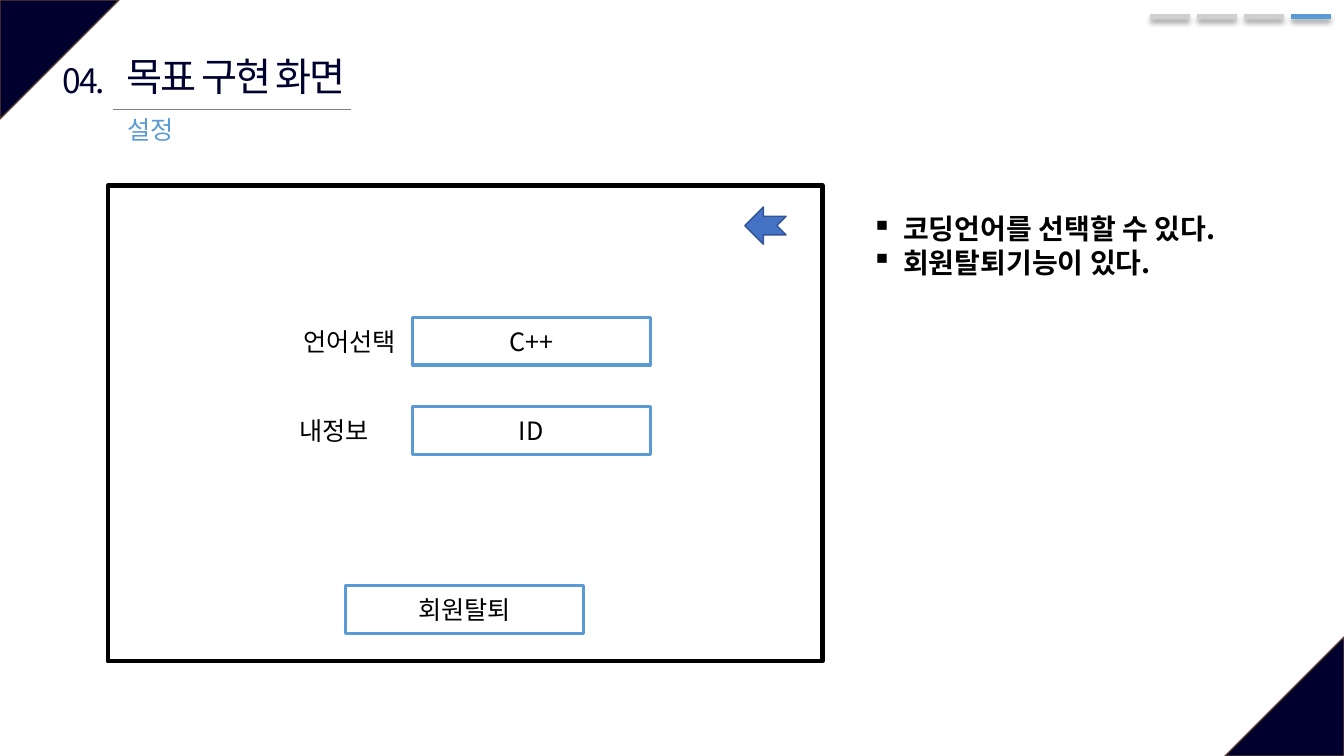
from dataclasses import dataclass

from lxml.etree import SubElement
from pptx import Presentation
from pptx.dml.color import RGBColor
from pptx.enum.shapes import MSO_CONNECTOR as Connector, MSO_SHAPE as Shape
from pptx.enum.text import MSO_ANCHOR as Anchor, MSO_AUTO_SIZE as AutoSize, PP_ALIGN as Align
from pptx.oxml.ns import qn
from pptx.util import Pt


@dataclass(frozen=True)
class Theme:
    font: str = "Noto Sans CJK KR"
    navy: str = "00002F"
    brown: str = "5B3F33"
    sky: str = "5B9BD5"
    blue: str = "4472C4"
    deep_blue: str = "325491"
    silver: str = "D0CECE"
    gray: str = "808080"
    white: str = "FFFFFF"
    black: str = "000000"
    title: int = 28
    number: int = 24
    point: int = 20
    body: int = 18


THEME = Theme()


def rgb(color):
    return RGBColor.from_string(color)


def add_text(paragraph, text, size, color, bold=False, spacing=0):
    run = paragraph.add_run()
    run.text = text
    run.font.name = THEME.font
    run.font.size = Pt(size)
    run.font.bold = bold
    run.font.color.rgb = rgb(color)
    properties = run.font._element
    SubElement(properties, qn("a:ea"), typeface=THEME.font)
    if spacing:
        properties.set("spc", str(int(spacing * 100)))


def add_label(slide, box, text, size, color, align=Align.LEFT, spacing=0, wrap=False):
    frame = slide.shapes.add_textbox(*map(Pt, box)).text_frame
    frame.word_wrap = wrap
    frame.auto_size = AutoSize.SHAPE_TO_FIT_TEXT
    frame.paragraphs[0].alignment = align
    add_text(frame.paragraphs[0], text, size, color, spacing=spacing)


def add_panel(slide, kind, box, fill, line, width, rotation=0):
    panel = slide.shapes.add_shape(kind, *map(Pt, box))
    panel.shadow.inherit = False
    panel.rotation = rotation
    panel.fill.solid()
    panel.fill.fore_color.rgb = rgb(fill)
    panel.line.color.rgb = rgb(line)
    panel.line.width = Pt(width)
    return panel


def add_corner(slide, left, top, rotation):
    corner = add_panel(slide, Shape.ISOSCELES_TRIANGLE, (left, top, 85, 85),
                       THEME.navy, THEME.brown, 1, rotation)
    corner.adjustments[0] = 0


def add_field(slide, left, top, text):
    field = add_panel(slide, Shape.RECTANGLE, (left, top, 170, 34),
                      THEME.white, THEME.sky, 2.25)
    field.text_frame.vertical_anchor = Anchor.MIDDLE
    field.text_frame.paragraphs[0].alignment = Align.CENTER
    add_text(field.text_frame.paragraphs[0], text, THEME.body, THEME.black)


def add_rule(slide, left, top, length, color, width):
    rule = slide.shapes.add_connector(
        Connector.STRAIGHT, Pt(left), Pt(top), Pt(left + length), Pt(top))
    rule.line.color.rgb = rgb(color)
    rule.line.width = Pt(width)
    return SubElement(rule._element.spPr, qn("a:effectLst"))


def add_progress(slide, steps, current):
    for step in range(steps):
        color = THEME.sky if step == current else THEME.silver
        effects = add_rule(slide, 821.5 + 33.6 * step, 11.5, 28.4, color, 3.5)
        shadow = SubElement(effects, qn("a:outerShdw"), blurRad=str(Pt(4)),
                            dist=str(Pt(3)), dir="5400000", rotWithShape="0")
        tint = SubElement(shadow, qn("a:srgbClr"), val=THEME.black)
        SubElement(tint, qn("a:alpha"), val="40000")


def add_points(slide, box, points):
    frame = slide.shapes.add_textbox(*map(Pt, box)).text_frame
    frame.word_wrap = True
    for index, point in enumerate(points):
        paragraph = frame.add_paragraph() if index else frame.paragraphs[0]
        properties = paragraph._p.get_or_add_pPr()
        properties.set("marL", str(Pt(22.5)))
        properties.set("indent", str(-Pt(22.5)))
        SubElement(properties, qn("a:buChar"), char="▪")
        add_text(paragraph, point, THEME.point, THEME.black, bold=True)


def add_heading(slide):
    add_rule(slide, 80.6, 78, 170, THEME.gray, 0.5)
    add_label(slide, (77, 34, 183.6, 41), "목표 구현 화면", THEME.title, THEME.navy,
              Align.CENTER, -1.5)
    add_label(slide, (36, 39.6, 48, 36), "04.", THEME.number, THEME.navy,
              Align.CENTER, -1.5)
    add_label(slide, (84, 78, 131, 29), "설정", THEME.body, THEME.sky, wrap=True)


def add_settings_screen(slide):
    add_panel(slide, Shape.RECTANGLE, (77, 132.5, 510.5, 340), THEME.white, THEME.black, 3)
    rows = (("언어선택", 209.5, 87, "C++"), ("내정보", 206.6, 69, "ID"))
    for row, (caption, left, width, value) in enumerate(rows):
        top = 226.8 + 63.6 * row
        add_field(slide, 294.5, top, value)
        add_label(slide, (left, top + 2.4, width, 29), caption, THEME.body, THEME.black)
    add_field(slide, 247, 418.5, "회원탈퇴")
    add_panel(slide, Shape.NOTCHED_RIGHT_ARROW, (532, 147.8, 29.5, 26.6),
              THEME.blue, THEME.deep_blue, 1, 180)


def main():
    """Build the settings screen slide."""
    deck = Presentation()
    deck.slide_width, deck.slide_height = Pt(960), Pt(540)
    slide = deck.slides.add_slide(deck.slide_layouts[6])
    add_corner(slide, 0, 0, 90)
    add_corner(slide, 875, 455, 270)
    add_progress(slide, 4, 3)
    add_heading(slide)
    add_settings_screen(slide)
    add_points(slide, (615.6, 147.6, 321, 78),
               ("코딩언어를 선택할 수 있다.", "회원탈퇴기능이 있다."))
    deck.save("out.pptx")


if __name__ == "__main__":
    main()
